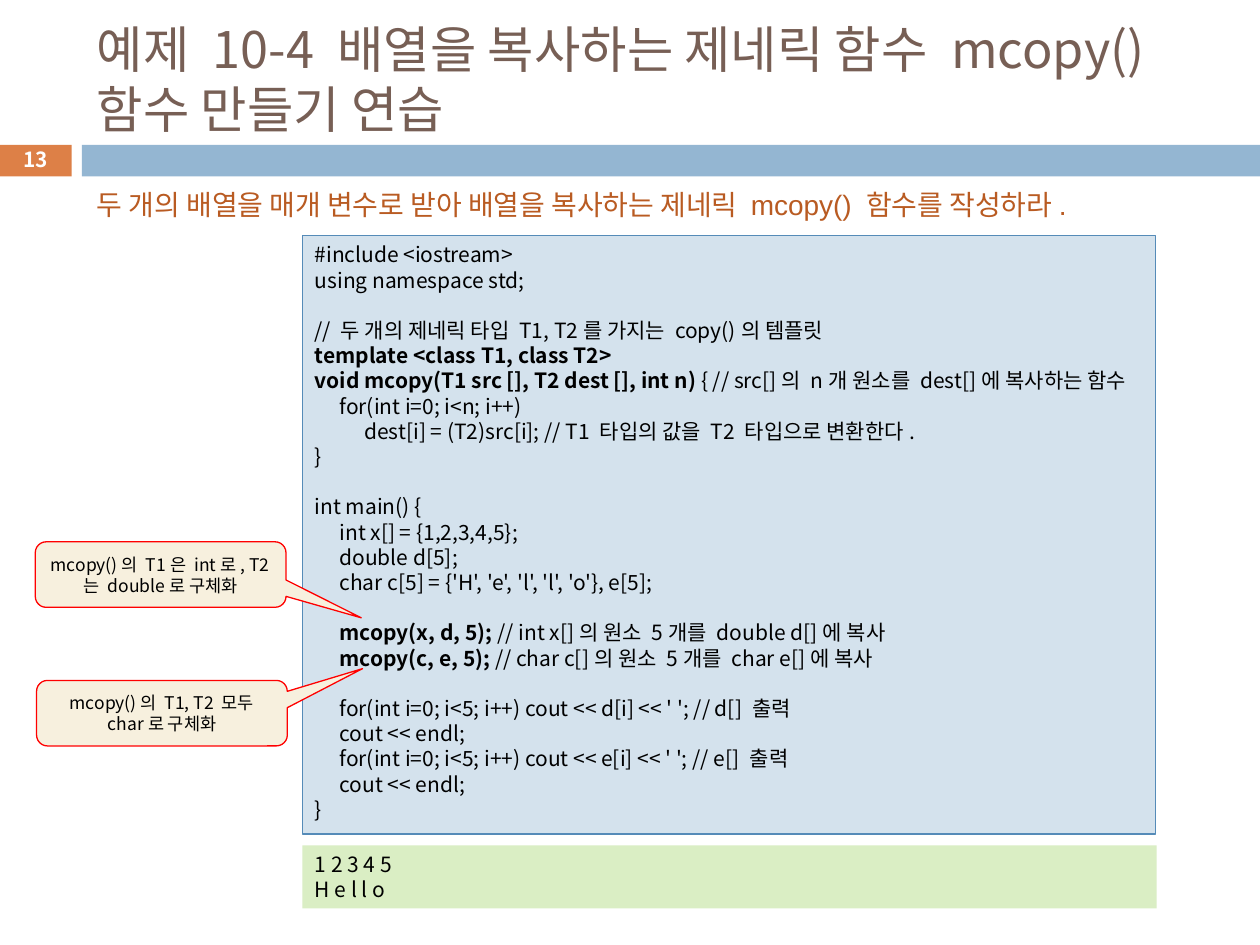
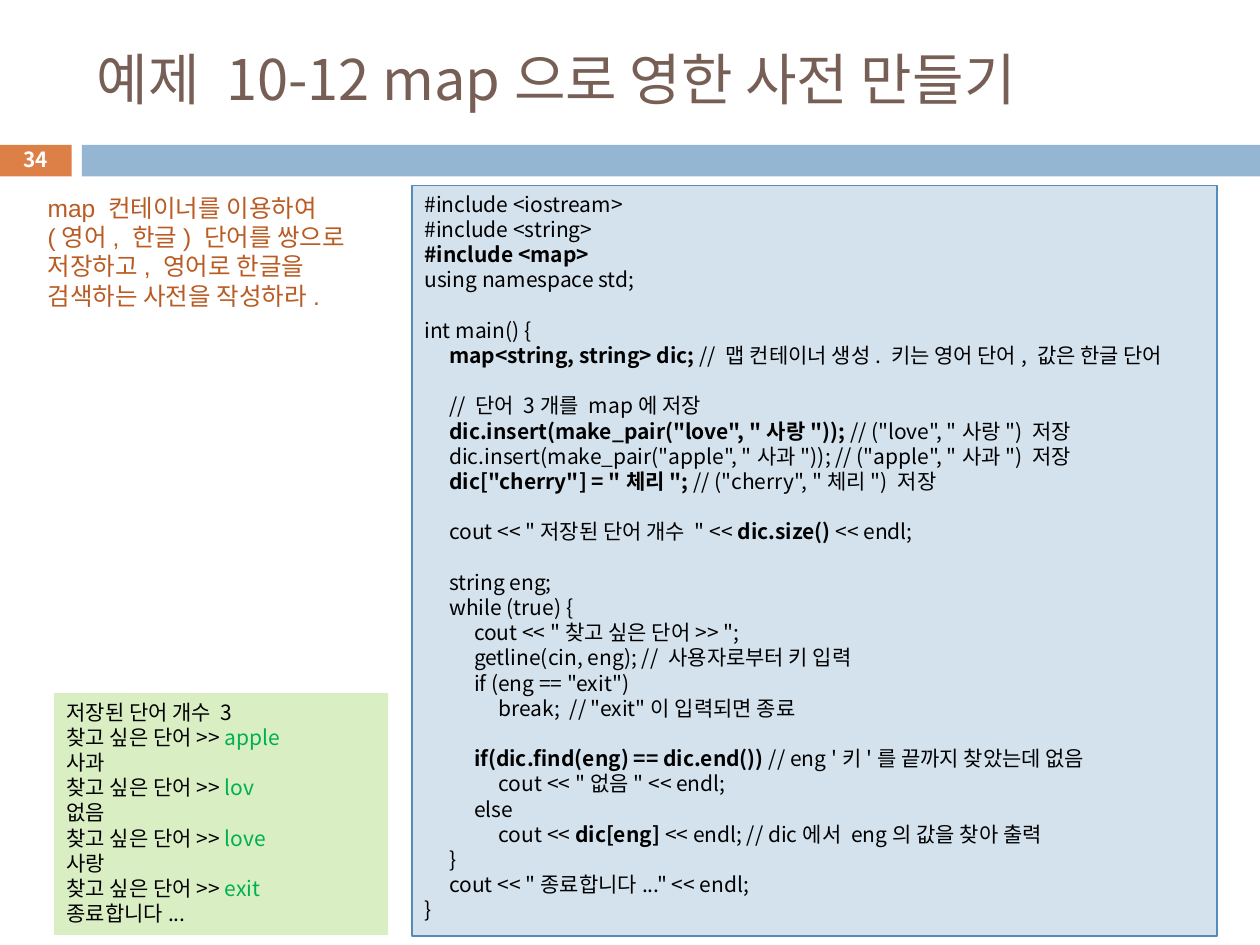
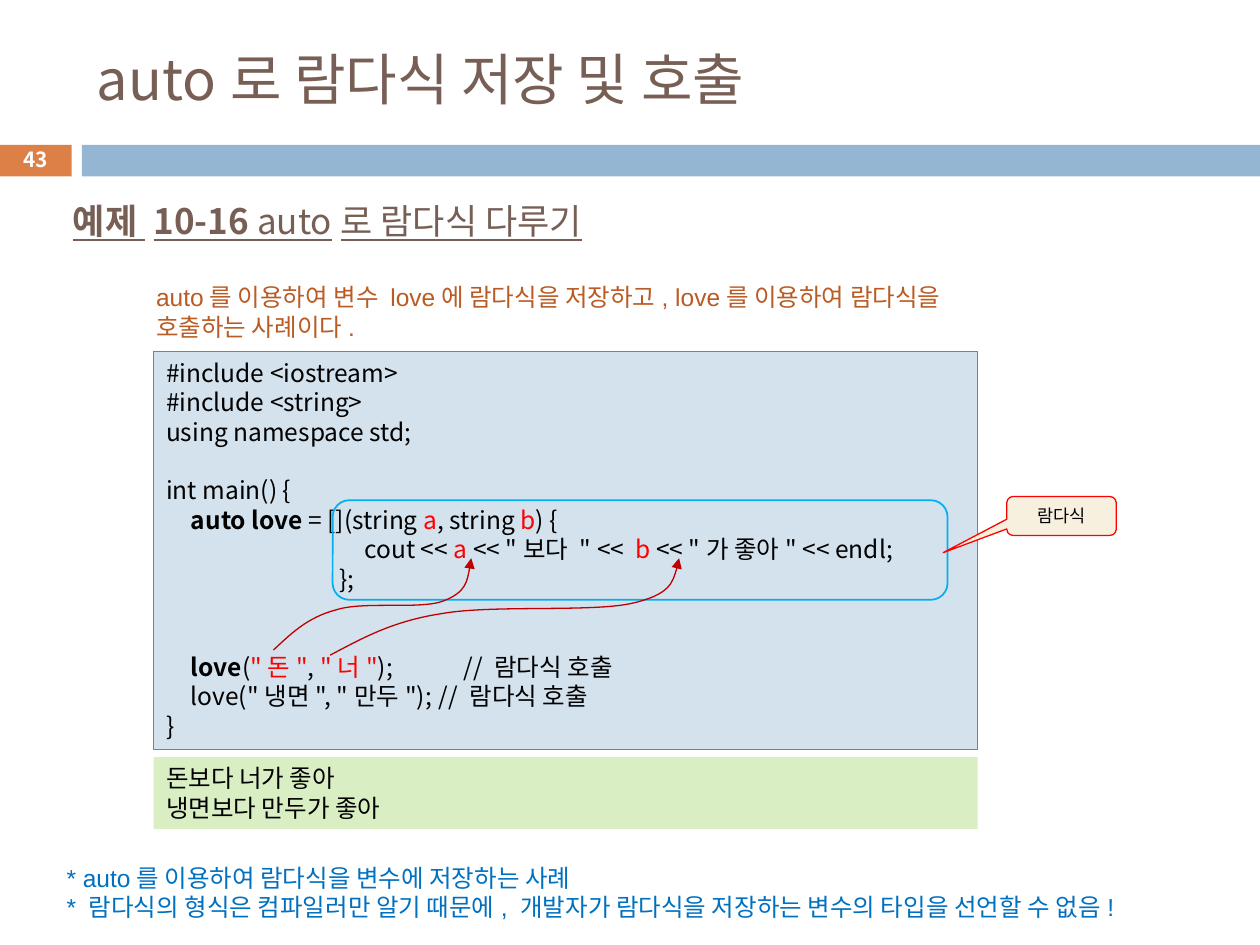
from lxml import etree
from pptx import Presentation
from pptx import util as u
from pptx.dml.color import RGBColor
from pptx.enum import shapes, text
from pptx.oxml.ns import qn

# Shared style
KOREAN, LATIN = "Noto Sans CJK KR", "Arial"
ORANGE, BLUE, BROWN, RUST = "DD8047", "94B6D2", "775F55", "B95B22"
CODE_FILL, CODE_LINE, OUTPUT_FILL = "D4E2ED", "558BB8", "DAEEC4"
NOTE_FILL, RED, DARK_RED, SKY = "F7F0DE", "FF0000", "C00000", "00B0F0"
GREEN, NOTE_BLUE, BLACK, WHITE = "00B050", "0070C0", "000000", "FFFFFF"
COLUMNS, ROWS = 100, 75
TAB = u.Cm(0.5)
RECT = shapes.MSO_SHAPE.RECTANGLE


def rgb(value):
    return RGBColor.from_string(value)


def bold(words):
    return words, {"bold": True}


def tint(words, color):
    return words, {"color": color}


def red(words):
    return tint(words, RED)


def typed(words):
    """Console line: the prompt, then what the user enters."""
    return ["찾고 싶은 단어>> ", tint(words, GREEN)]


class Deck:
    def __init__(self):
        self.show = Presentation()
        self.show.slide_width, self.show.slide_height = u.Inches(10), u.Inches(7.5)
        self.slide = None

    def place(self, column, row):
        return (round(column * self.show.slide_width / COLUMNS),
                round(row * self.show.slide_height / ROWS))

    def box(self, at):
        return *self.place(*at[:2]), *self.place(*at[2:])

    def new_slide(self, title, number, size=32):
        self.slide = self.show.slides.add_slide(self.show.slide_layouts[6])
        self.shape(RECT, (0, 11.5, 5.7, 2.5), ORANGE)
        self.shape(RECT, (6.5, 11.5, 93.5, 2.5), BLUE)
        self.label((6.7, 2.5, 89.2, 7.4), [title], size, BROWN, middle=True)
        self.label((0, 11.3, 5.7, 2.7), [[bold(number)]], 11.9, WHITE,
                   middle=True, center=True)

    def fill_text(self, shape, lines, size, color=BLACK, font=KOREAN,
                  middle=False, center=False, tabs=0, underline=None):
        frame = shape.text_frame
        frame.word_wrap = True
        frame.vertical_anchor = text.MSO_ANCHOR.MIDDLE if middle else text.MSO_ANCHOR.TOP
        for index, line in enumerate(lines):
            paragraph = frame.add_paragraph() if index else frame.paragraphs[0]
            paragraph.alignment = text.PP_ALIGN.CENTER if center else text.PP_ALIGN.LEFT
            paragraph.line_spacing = u.Pt(1.2 * size)
            if tabs:
                stops = etree.SubElement(paragraph._p.get_or_add_pPr(), qn("a:tabLst"))
                for stop in range(1, tabs + 1):
                    etree.SubElement(stops, qn("a:tab"), pos=str(stop * TAB), algn="l")
            if not line:
                etree.SubElement(paragraph._p, qn("a:endParaRPr"), sz=str(size * 100))
                continue
            for part in [line] if isinstance(line, str) else line:
                words, look = (part, {}) if isinstance(part, str) else part
                run = paragraph.add_run()
                run.text = words
                run.font.size, run.font.name = u.Pt(size), font
                run.font.bold = look.get("bold", False)
                run.font.underline = underline
                run.font.color.rgb = rgb(look.get("color", color))
                etree.SubElement(run.font._element, qn("a:ea"), typeface=KOREAN)

    def label(self, at, lines, size, color, **style):
        self.fill_text(self.slide.shapes.add_textbox(*self.box(at)), lines, size, color, **style)

    def paint(self, shape, fill, line, width):
        shape.shadow.inherit = False
        if fill:
            shape.fill.solid()
            shape.fill.fore_color.rgb = rgb(fill)
        else:
            shape.fill.background()
        if line:
            shape.line.color.rgb = rgb(line)
            shape.line.width = u.Pt(width)
        else:
            shape.line.fill.background()
        return shape

    def shape(self, kind, at, fill=None, line=None, width=0.75):
        return self.paint(self.slide.shapes.add_shape(kind, *self.box(at)), fill, line, width)

    def code(self, at, lines, size=12):
        panel = self.shape(RECT, at, CODE_FILL, CODE_LINE)
        panel.text_frame.margin_right = 0
        self.fill_text(panel, lines, size, tabs=16)

    def output(self, at, lines, size=12):
        self.fill_text(self.shape(RECT, at, OUTPUT_FILL), lines, size)

    def callout(self, at, words, tip):
        balloon = self.shape(shapes.MSO_SHAPE.ROUNDED_RECTANGULAR_CALLOUT, at, NOTE_FILL, RED)
        balloon.adjustments[0], balloon.adjustments[1] = tip
        self.fill_text(balloon, [words], 10, middle=True, center=True)

    def curved_arrow(self, start, *controls):
        """Draw Bezier curves; every three points after the start make one."""
        builder = self.slide.shapes.build_freeform(*self.place(*start))
        builder.add_line_segments([self.place(*point) for point in controls], close=False)
        arrow = self.paint(builder.convert_to_shape(), None, DARK_RED, 0.75)
        outline = arrow._element.find(".//" + qn("a:path"))
        segments = outline.findall(qn("a:lnTo"))
        points = [segment[0] for segment in segments]
        for segment in segments:
            outline.remove(segment)
        for first in range(0, len(points), 3):
            curve = etree.SubElement(outline, qn("a:cubicBezTo"))
            curve.extend(points[first:first + 3])
        etree.SubElement(arrow._element.spPr.find(qn("a:ln")), qn("a:tailEnd"), type="triangle")


def mcopy_slide(deck):
    deck.new_slide("예제 10-4 배열을 복사하는 제네릭 함수 mcopy() 함수 만들기 연습", "13", 28.8)
    deck.code((24, 18.7, 67.7, 47.5), [
        "#include <iostream>",
        "using namespace std;",
        "",
        "// 두 개의 제네릭 타입 T1, T2를 가지는 copy()의 템플릿",
        [bold("template <class T1, class T2>")],
        [bold("void mcopy(T1 src [], T2 dest [], int n) "),
         "{ // src[]의 n개 원소를 dest[]에 복사하는 함수"],
        "\tfor(int i=0; i<n; i++)",
        "\t\tdest[i] = (T2)src[i]; // T1 타입의 값을 T2 타입으로 변환한다.",
        "}",
        "",
        "int main() {",
        "\tint x[] = {1,2,3,4,5};",
        "\tdouble d[5];",
        "\tchar c[5] = {'H', 'e', 'l', 'l', 'o'}, e[5];",
        "",
        ["\t", bold("mcopy(x, d, 5); "), "// int x[]의 원소 5개를 double d[]에 복사"],
        ["\t", bold("mcopy(c, e, 5); "), "// char c[]의 원소 5개를 char e[]에 복사"],
        "",
        "\tfor(int i=0; i<5; i++) cout << d[i] << ' '; // d[] 출력",
        "\tcout << endl;",
        "\tfor(int i=0; i<5; i++) cout << e[i] << ' '; // e[] 출력",
        "\tcout << endl;",
        "}",
    ])
    deck.output((24, 67.1, 67.8, 5), ["1 2 3 4 5", "H e l l o"])
    deck.callout((2.8, 43, 19.9, 5.2), "mcopy()의 T1은 int로, T2는 double로 구체화", (0.8, 0.66))
    deck.label((6.7, 14.4, 86.2, 3.7),
               ["두 개의 배열을 매개 변수로 받아 배열을 복사하는 제네릭 mcopy() 함수를 작성하라."],
               16, RUST, font=LATIN)
    deck.callout((2.9, 54, 19.9, 5.2), "mcopy()의 T1, T2 모두 char로 구체화", (0.8, -0.68))


def dictionary_slide(deck):
    deck.new_slide("예제 10-12 map으로 영한 사전 만들기", "34")
    deck.label((2.8, 14.8, 27.6, 10.4),
               ["map 컨테이너를 이용하여 (영어, 한글) 단어를 쌍으로 저장하고, "
                "영어로 한글을 검색하는 사전을 작성하라."], 14, RUST, font=LATIN)
    deck.code((32.7, 14.7, 63.9, 59.6), [
        "#include <iostream>",
        "#include <string>",
        [bold("#include <map>")],
        "using namespace std;",
        "",
        "int main() {",
        ["\t", bold("map<string, string> dic; "),
         "// 맵 컨테이너 생성. 키는 영어 단어, 값은 한글 단어"],
        "",
        "\t// 단어 3개를 map에 저장",
        ["\t", bold('dic.insert(make_pair("love", "사랑")); '), '// ("love", "사랑") 저장'],
        '\tdic.insert(make_pair("apple", "사과")); // ("apple", "사과") 저장',
        ["\t", bold('dic["cherry"] = "체리"; '), '// ("cherry", "체리") 저장'],
        "",
        ['\tcout << "저장된 단어 개수 " << ', bold("dic.size() "), "<< endl;"],
        "",
        "\tstring eng;",
        "\twhile (true) {",
        '\t\tcout << "찾고 싶은 단어>> ";',
        "\t\tgetline(cin, eng); // 사용자로부터 키 입력",
        '\t\tif (eng == "exit")',
        '\t\t\tbreak;  // "exit"이 입력되면 종료',
        "",
        ["\t\t", bold("if(dic.find(eng) == dic.end()) "), "// eng '키'를 끝까지 찾았는데 없음"],
        '\t\t\tcout << "없음" << endl;',
        "\t\telse",
        ["\t\t\tcout << ", bold("dic[eng] "), "<< endl; // dic에서 eng의 값을 찾아 출력"],
        "\t}",
        '\tcout << "종료합니다..." << endl;',
        "}",
    ])
    deck.output((4.3, 55, 26.5, 19.2), [
        "저장된 단어 개수 3",
        typed("apple"), "사과",
        typed("lov"), "없음",
        typed("love"), "사랑",
        typed("exit"), "종료합니다...",
    ])


def lambda_slide(deck):
    deck.new_slide("auto로 람다식 저장 및 호출", "43")
    deck.label((11.4, 21.9, 66.1, 5.7),
               ["auto를 이용하여 변수 love에 람다식을 저장하고, "
                "love를 이용하여 람다식을 호출하는 사례이다."], 14, RUST, font=LATIN)
    deck.code((12.2, 27.9, 65.4, 31.6), [
        "#include <iostream>",
        "#include <string>",
        "using namespace std;",
        "",
        "int main() {",
        ["\t", bold("auto love "), "= [](string ", red("a"), ", string ", red("b"), ") {"],
        ["\t" * 8 + "cout << ", red("a"), ' << "보다 " <<  ', red("b"),
         ' << "가 좋아" << endl;'],
        "\t" * 7 + "};",
        "",
        "",
        ["\t", bold("love"), "(", red('"돈"'), ", ", red('"너"'), "); \t\t\t// 람다식 호출"],
        '\tlove("냉면", "만두"); \t// 람다식 호출',
        "}",
    ], 14)

    # Lambda outline, its name, and the arguments flowing into it
    deck.shape(shapes.MSO_SHAPE.ROUNDED_RECTANGLE, (26.4, 39.7, 48.8, 7.9), line=SKY, width=1)
    deck.callout((79.9, 39.4, 8.7, 3.1), "람다식", (-1.08, 0.94))
    deck.curved_arrow((21.7, 51.6), (23.1, 50.3), (24.4, 49), (26.7, 48.4),
                      (28.9, 47.7), (33.4, 48.4), (35.2, 47.7),
                      (37, 47), (37.2, 45.7), (37.4, 44.3))
    deck.curved_arrow((26.2, 52), (28.7, 50.7), (31.1, 49.3), (35.1, 48.7),
                      (39, 48), (46.9, 48.6), (50.1, 47.9),
                      (53.2, 47.2), (53.6, 45.8), (53.9, 44.3))

    deck.output((12.2, 60.1, 65.4, 5.7), ["돈보다 너가 좋아", "냉면보다 만두가 좋아"], 14)
    deck.label((4.3, 68, 92.6, 5.7), [
        "* auto를 이용하여 람다식을 변수에 저장하는 사례",
        "* 람다식의 형식은 컴파일러만 알기 때문에, "
        "개발자가 람다식을 저장하는 변수의 타입을 선언할 수 없음!",
    ], 14, NOTE_BLUE, font=LATIN)
    deck.label((4.8, 13.8, 89.2, 7.4),
               [[bold("예제"), " ", bold("10-16"), " auto로 람다식 다루기"]],
               20, BROWN, middle=True, underline=True)


def main():
    deck = Deck()
    mcopy_slide(deck)
    dictionary_slide(deck)
    lambda_slide(deck)
    deck.show.save("out.pptx")


if __name__ == "__main__":
    main()
